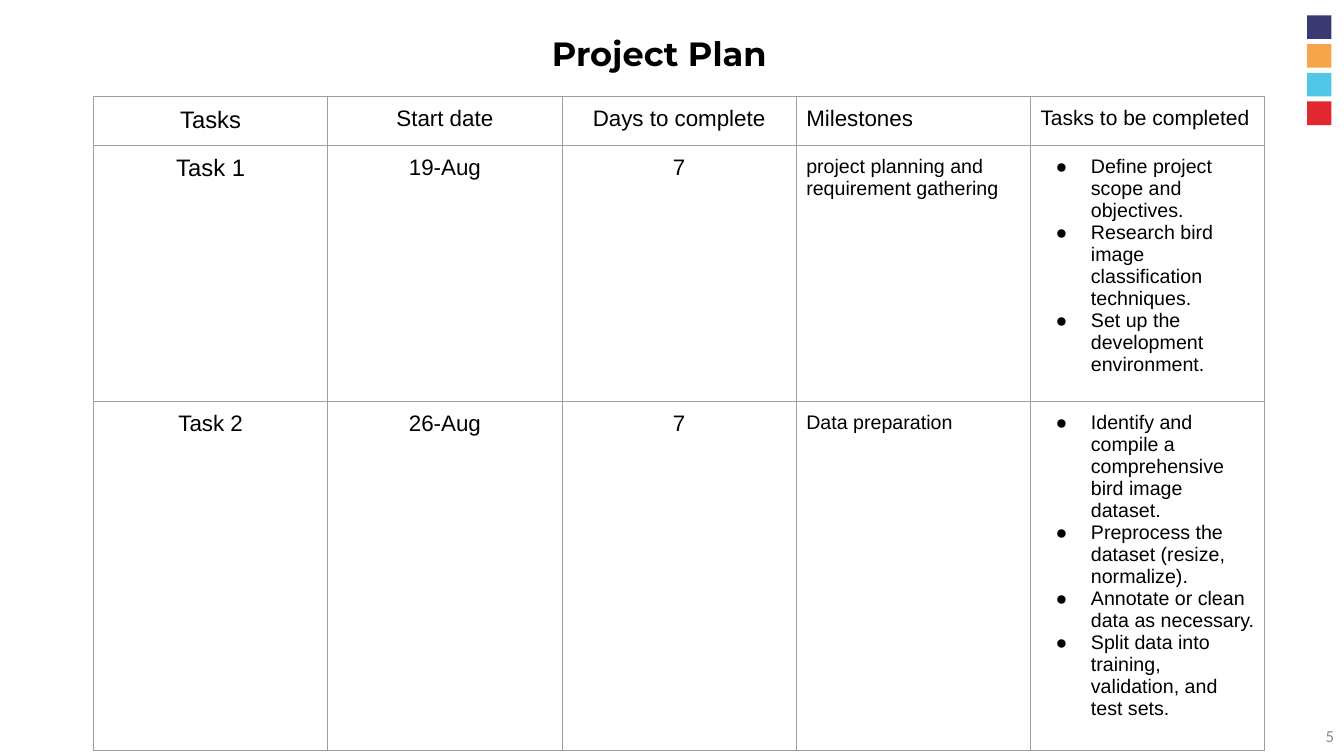
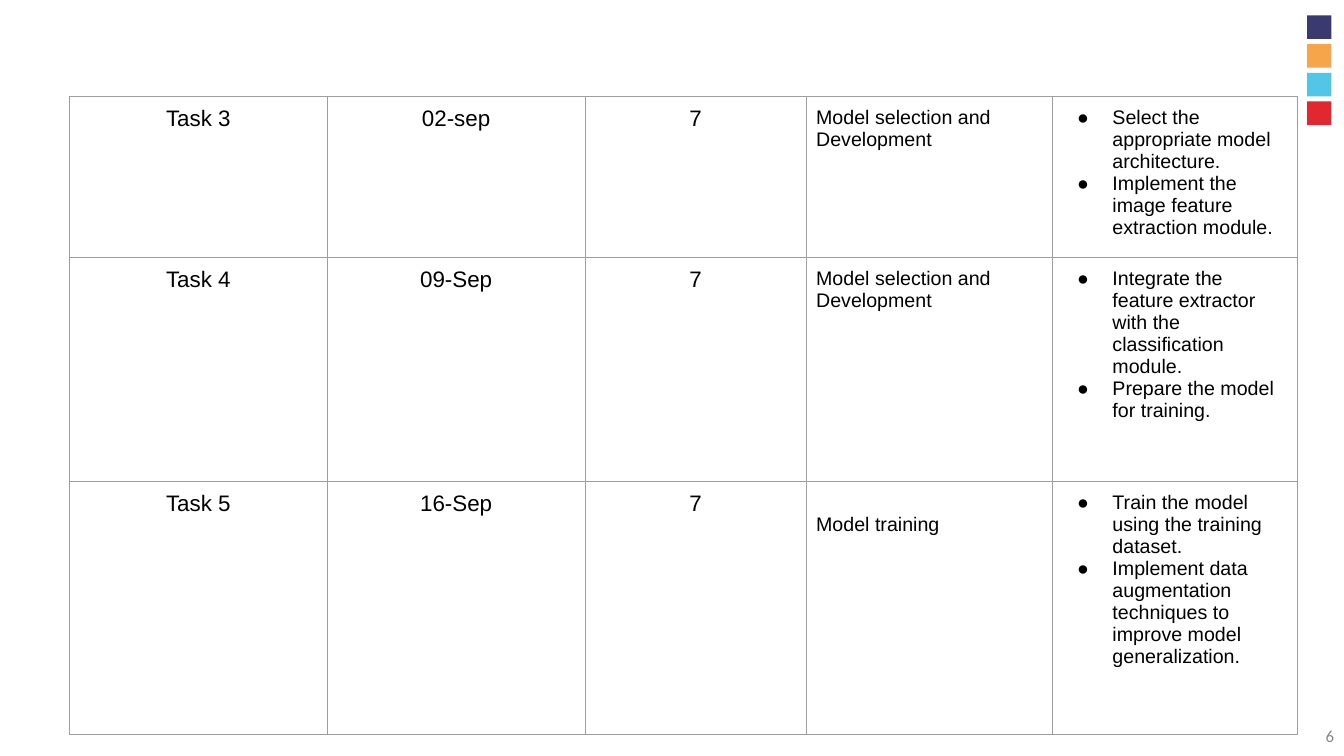
from lxml import etree
from pptx import Presentation
from pptx.dml.color import RGBColor
from pptx.enum.shapes import MSO_SHAPE
from pptx.enum.text import MSO_ANCHOR, PP_ALIGN
from pptx.oxml.ns import qn
from pptx.util import Inches, Pt

RECTANGLE = MSO_SHAPE.RECTANGLE
TOP, MIDDLE = MSO_ANCHOR.TOP, MSO_ANCHOR.MIDDLE
LEFT, CENTER, RIGHT = PP_ALIGN.LEFT, PP_ALIGN.CENTER, PP_ALIGN.RIGHT

SLIDE_WIDTH, SLIDE_HEIGHT = Inches(13.333), Inches(7.5)
BLANK_LAYOUT = 6

# Shared look
BLACK, GREY, BORDER = "000000", "888888", "9E9E9E"
SQUARE_COLORS = ["3A3A70", "F7A54B", "51C6E7", "E12730"]
BODY_FONT, TITLE_FONT, NUMBER_FONT = "Arial", "Montserrat", "Calibri"
CELL_MARGIN = Inches(0.1)
BULLET_INDENT, BULLET_HANG = Inches(0.5), Inches(0.35)
COLUMN_ALIGNMENTS = [CENTER, CENTER, CENTER, LEFT, LEFT]
ROW_SIZES = [16, 16, 16, 14, 14]

# Table content: a tuple in a cell is a bulleted list
HEADINGS = ["Tasks", "Start date", "Days to complete", "Milestones", "Tasks to be completed"]
TASKS = [
    ["Task 1", "19-Aug", "7", "project planning and requirement gathering",
     ("Define project scope and objectives.",
      "Research bird image classification techniques.",
      "Set up the development environment.")],
    ["Task 2", "26-Aug", "7", "Data preparation",
     ("Identify and compile a comprehensive bird image dataset.",
      "Preprocess the dataset (resize, normalize).",
      "Annotate or clean data as necessary.",
      "Split data into training, validation, and test sets.")],
    ["Task 3", "02-sep", "7", "Model selection and Development",
     ("Select the appropriate model architecture.",
      "Implement the image feature extraction module.")],
    ["Task 4", "09-Sep", "7", "Model selection and Development",
     ("Integrate the feature extractor with the classification module.",
      "Prepare the model for training.")],
    ["Task 5", "16-Sep", "7", "Model training",
     ("Train the model using the training dataset.",
      "Implement data augmentation techniques to improve model generalization.")],
]


def across(percent):
    return round(SLIDE_WIDTH * percent / 100)


def down(percent):
    return round(SLIDE_HEIGHT * percent / 100)


def box(left, top, width, height):
    return across(left), down(top), across(width), down(height)


def color(hex_string):
    return RGBColor.from_string(hex_string)


def style_paragraph(paragraph, size, font_name, font_color, alignment, bold=False):
    paragraph.alignment = alignment
    font = paragraph.font
    font.size, font.name, font.bold = Pt(size), font_name, bold
    font.color.rgb = color(font_color)


def add_text(slide, area, text, anchor, **style):
    frame = slide.shapes.add_textbox(*area).text_frame
    frame.word_wrap = True
    frame.vertical_anchor = anchor
    frame.text = text
    style_paragraph(frame.paragraphs[0], **style)


def add_squares(slide):
    for index, fill_color in enumerate(SQUARE_COLORS):
        square = slide.shapes.add_shape(RECTANGLE, *box(97.25, 2.03 + 3.8 * index, 1.82, 3.12))
        square.shadow.inherit = False
        square.fill.solid()
        square.fill.fore_color.rgb = color(fill_color)
        square.line.fill.background()


def add_bullet(paragraph):
    properties = paragraph._p.get_or_add_pPr()
    properties.set("marL", str(BULLET_INDENT))
    properties.set("indent", str(-BULLET_HANG))
    bullet_color = etree.SubElement(properties, qn("a:buClr"))
    etree.SubElement(bullet_color, qn("a:srgbClr"), val=BLACK)
    etree.SubElement(properties, qn("a:buFont"), typeface=BODY_FONT)
    etree.SubElement(properties, qn("a:buChar"), char="●")
    # The schema wants the default run properties after the bullet
    properties.append(properties.find(qn("a:defRPr")))


def add_borders(cell):
    properties = cell._tc.get_or_add_tcPr()
    for side in ("lnL", "lnR", "lnT", "lnB"):
        line = etree.SubElement(properties, qn(f"a:{side}"), w=str(Pt(0.75)))
        fill = etree.SubElement(line, qn("a:solidFill"))
        etree.SubElement(fill, qn("a:srgbClr"), val=BORDER)


def fill_cell(cell, content, size, alignment):
    add_borders(cell)
    cell.fill.background()
    cell.vertical_anchor = TOP
    cell.margin_left = cell.margin_right = CELL_MARGIN
    cell.margin_top = cell.margin_bottom = CELL_MARGIN
    bulleted = isinstance(content, tuple)
    cell.text = "\n".join(content) if bulleted else content
    for paragraph in cell.text_frame.paragraphs:
        style_paragraph(paragraph, size, BODY_FONT, BLACK, alignment)
        if bulleted:
            add_bullet(paragraph)


def add_plan_table(slide, left, top, widths, heights, rows, row_sizes):
    area = box(left, top, sum(widths), sum(heights))
    table = slide.shapes.add_table(len(rows), len(widths), *area).table
    table.first_row = table.horz_banding = False
    for column, width in zip(table.columns, widths):
        column.width = across(width)
    for row, height, contents, sizes in zip(table.rows, heights, rows, row_sizes):
        row.height = down(height)
        for cell, content, size, alignment in zip(row.cells, contents, sizes, COLUMN_ALIGNMENTS):
            fill_cell(cell, content, size, alignment)
    return table


def add_plan_slide(presentation, number):
    slide = presentation.slides.add_slide(presentation.slide_layouts[BLANK_LAYOUT])
    add_squares(slide)
    add_text(slide, box(77.5, 94.65, 22.5, 5.35), number, MIDDLE, size=12,
             font_name=NUMBER_FONT, font_color=GREY, alignment=RIGHT)
    return slide


def main():
    presentation = Presentation()
    presentation.slide_width, presentation.slide_height = SLIDE_WIDTH, SLIDE_HEIGHT

    # Title, headings and the first two tasks
    slide = add_plan_slide(presentation, "5")
    add_text(slide, box(5.9, 3.75, 86.3, 7.2), "Project Plan", TOP, size=24,
             font_name=TITLE_FONT, font_color=BLACK, alignment=CENTER, bold=True)
    add_plan_table(slide, 6.96, 12.75, [17.43] * 5, [6.35, 33.86, 46.1],
                   [HEADINGS] + TASKS[:2],
                   [[17, 16, 16, 16, 15], [17] + ROW_SIZES[1:], ROW_SIZES])

    # Remaining tasks, in two stacked tables
    slide = add_plan_slide(presentation, "6")
    widths = [19.18, 19.18, 16.45, 18.3, 18.3]
    top, first_height = 12.75, 21.3
    add_plan_table(slide, 5.17, top, widths, [first_height], TASKS[2:3], [ROW_SIZES])
    table = add_plan_table(slide, 5.17, top + first_height, widths, [29.63, 33.5],
                           TASKS[3:], [ROW_SIZES] * 2)
    # The last milestone starts one line lower
    table.cell(1, 3).margin_top = CELL_MARGIN + Inches(0.22)

    presentation.save("out.pptx")


if __name__ == "__main__":
    main()
